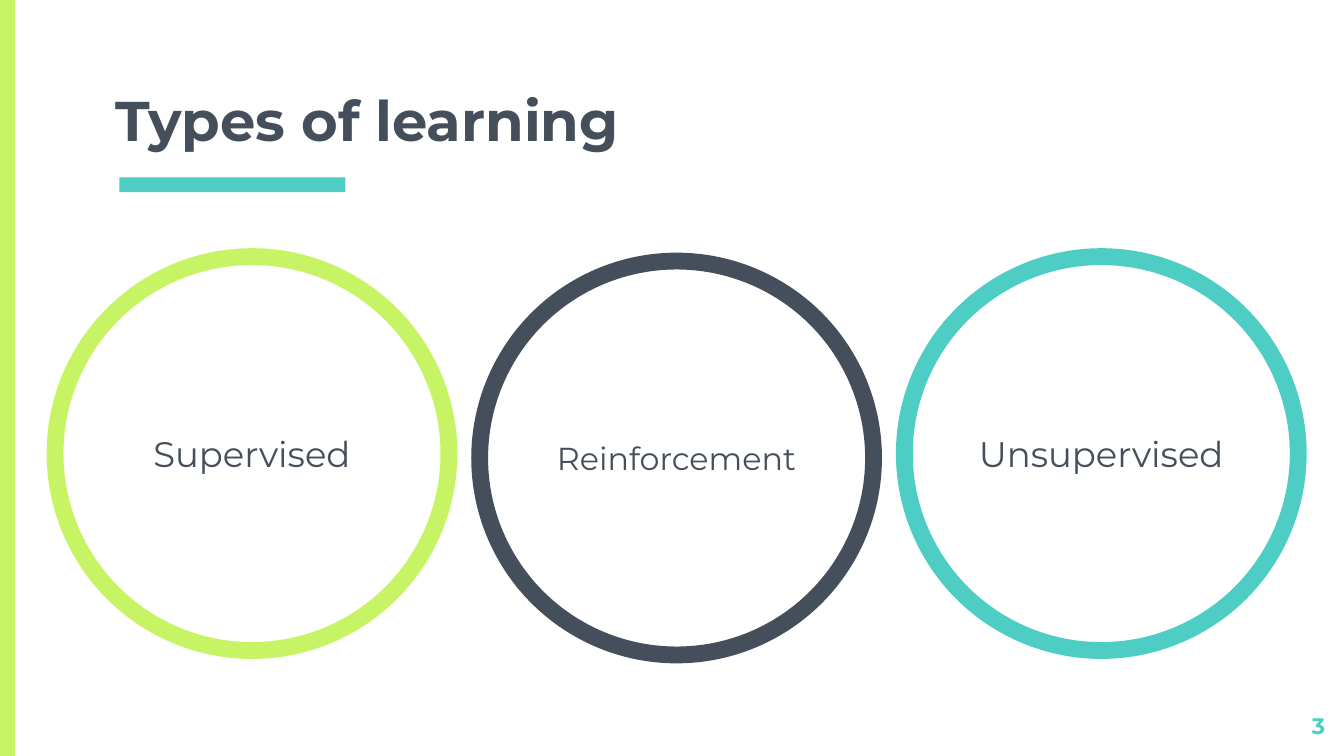
from pptx import Presentation
from pptx.dml.color import RGBColor
from pptx.enum.shapes import MSO_SHAPE
from pptx.enum.text import MSO_ANCHOR, PP_ALIGN
from pptx.util import Pt

RECT, OVAL = MSO_SHAPE.RECTANGLE, MSO_SHAPE.OVAL
TOP, MIDDLE, BOTTOM = MSO_ANCHOR.TOP, MSO_ANCHOR.MIDDLE, MSO_ANCHOR.BOTTOM
LEFT, CENTER, RIGHT = PP_ALIGN.LEFT, PP_ALIGN.CENTER, PP_ALIGN.RIGHT

TEAL = RGBColor(0x4E, 0xCD, 0xC4)
LIME = RGBColor(0xC7, 0xF4, 0x64)
SLATE = RGBColor(0x45, 0x4F, 0x5B)
FONT = "Montserrat"
INSET = 7.2


class Deck:
    def __init__(self, width, height):
        self.prs = Presentation()
        self.prs.slide_width, self.prs.slide_height = Pt(width), Pt(height)
        self.s = self.prs.slides.add_slide(self.prs.slide_layouts[5])

    def add_text(self, sp, text, size, color, bold, align, anchor):
        tf = sp.text_frame
        tf.word_wrap = True
        tf.vertical_anchor = anchor
        tf.margin_left = tf.margin_right = Pt(INSET)
        tf.margin_top = tf.margin_bottom = Pt(INSET)
        p = tf.paragraphs[0]
        p.alignment = align
        r = p.add_run()
        r.text = text
        r.font.name, r.font.size, r.font.bold = FONT, Pt(size), bold
        r.font.color.rgb = color

    def title(self, text, x, y, w, h):
        sp = self.s.shapes.title
        sp.left, sp.top, sp.width, sp.height = Pt(x), Pt(y), Pt(w), Pt(h)
        self.add_text(sp, text, 30, SLATE, True, LEFT, BOTTOM)

    def bar(self, x, y, w, h, color):
        sp = self.s.shapes.add_shape(RECT, Pt(x), Pt(y), Pt(w), Pt(h))
        sp.shadow.inherit = False
        sp.fill.solid()
        sp.fill.fore_color.rgb = color
        sp.line.fill.background()

    def ring(self, text, x, y, d, color, size):
        sp = self.s.shapes.add_shape(OVAL, Pt(x), Pt(y), Pt(d), Pt(d))
        sp.shadow.inherit = False
        sp.fill.background()
        sp.line.color.rgb = color
        sp.line.width = Pt(9)
        self.add_text(sp, text, size, SLATE, False, CENTER, MIDDLE)

    def page_number(self, text, x, y, w, h):
        sp = self.s.shapes.add_textbox(Pt(x), Pt(y), Pt(w), Pt(h))
        self.add_text(sp, text, 12, TEAL, True, RIGHT, TOP)


def main():
    deck = Deck(720, 405)

    # Side band, title and underline
    deck.bar(64, 95, 121, 8, TEAL)
    deck.bar(0, 0, 8, 405, LIME)
    deck.title("Types of learning", 54.7, 12.3, 611, 76.5)
    deck.page_number("3", 674, 374.4, 43, 24.5)

    # Rings, evenly spaced, the middle one slightly lower
    rings = [
        ("Supervised", 137.5, LIME, 19),
        ("Reinforcement", 139.9, SLATE, 17),
        ("Unsupervised", 137.5, TEAL, 19),
    ]
    for i, (text, y, color, size) in enumerate(rings):
        deck.ring(text, 29.5 + i * 227.5, y, 211, color, size)

    deck.prs.save("out.pptx")


if __name__ == "__main__":
    main()
